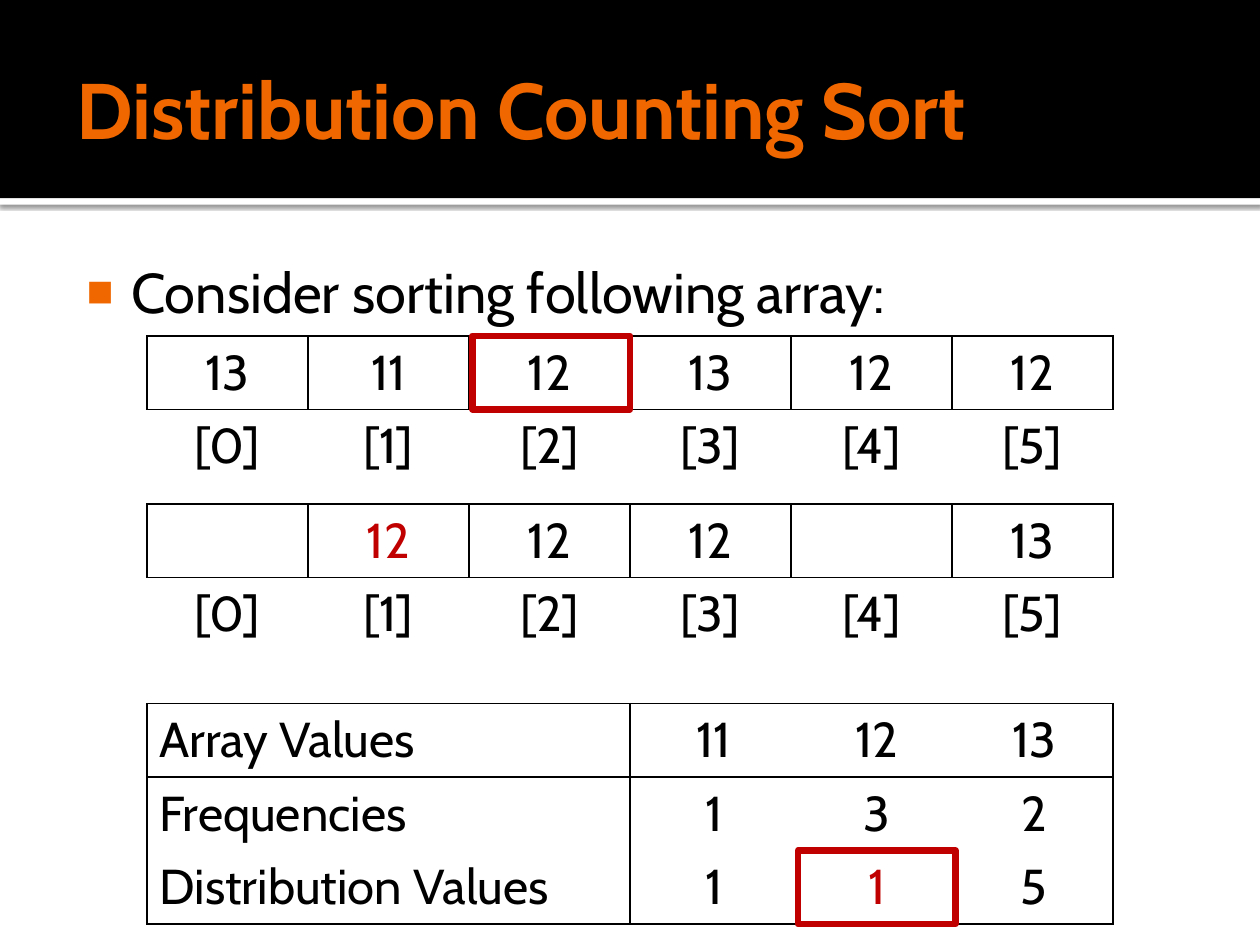
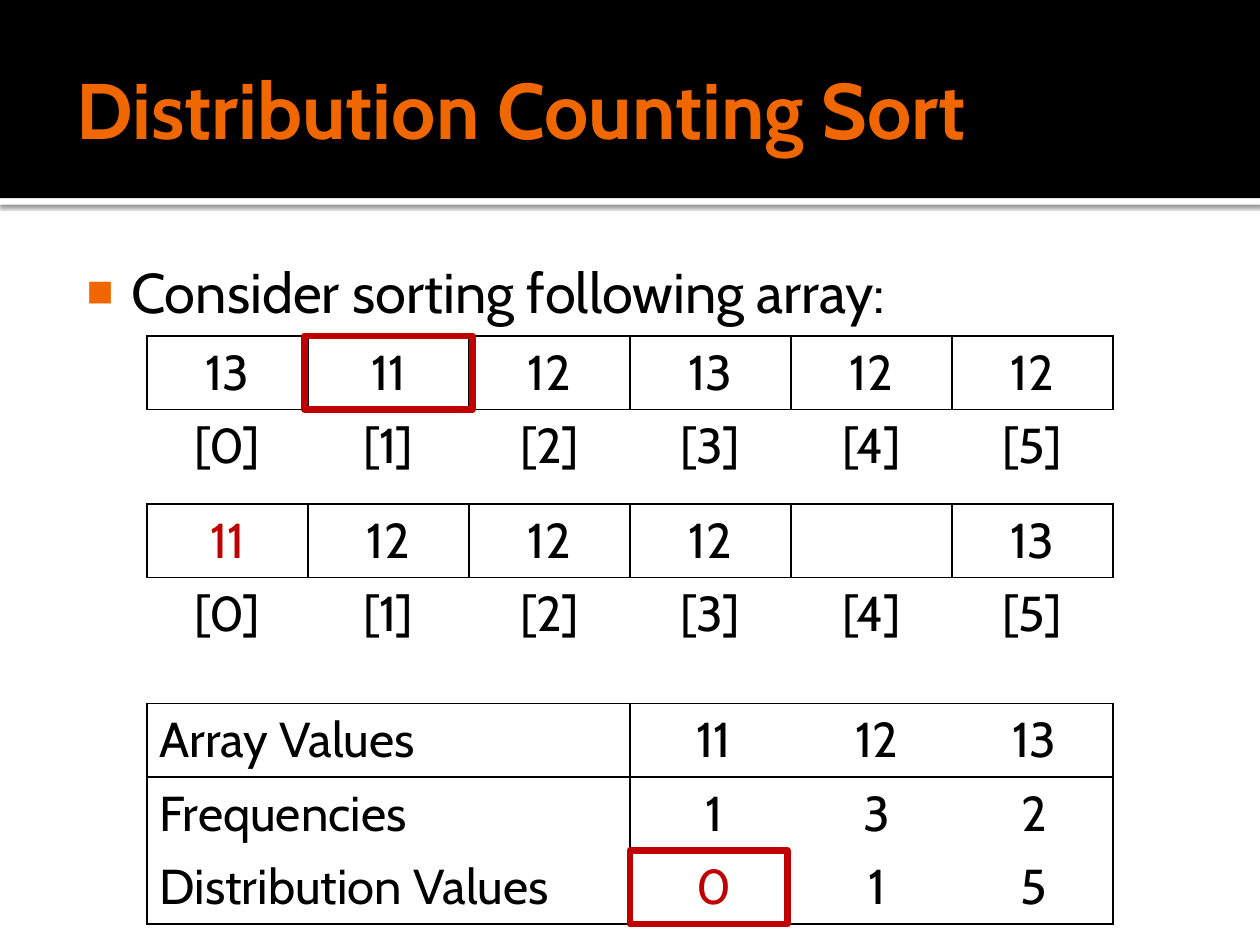
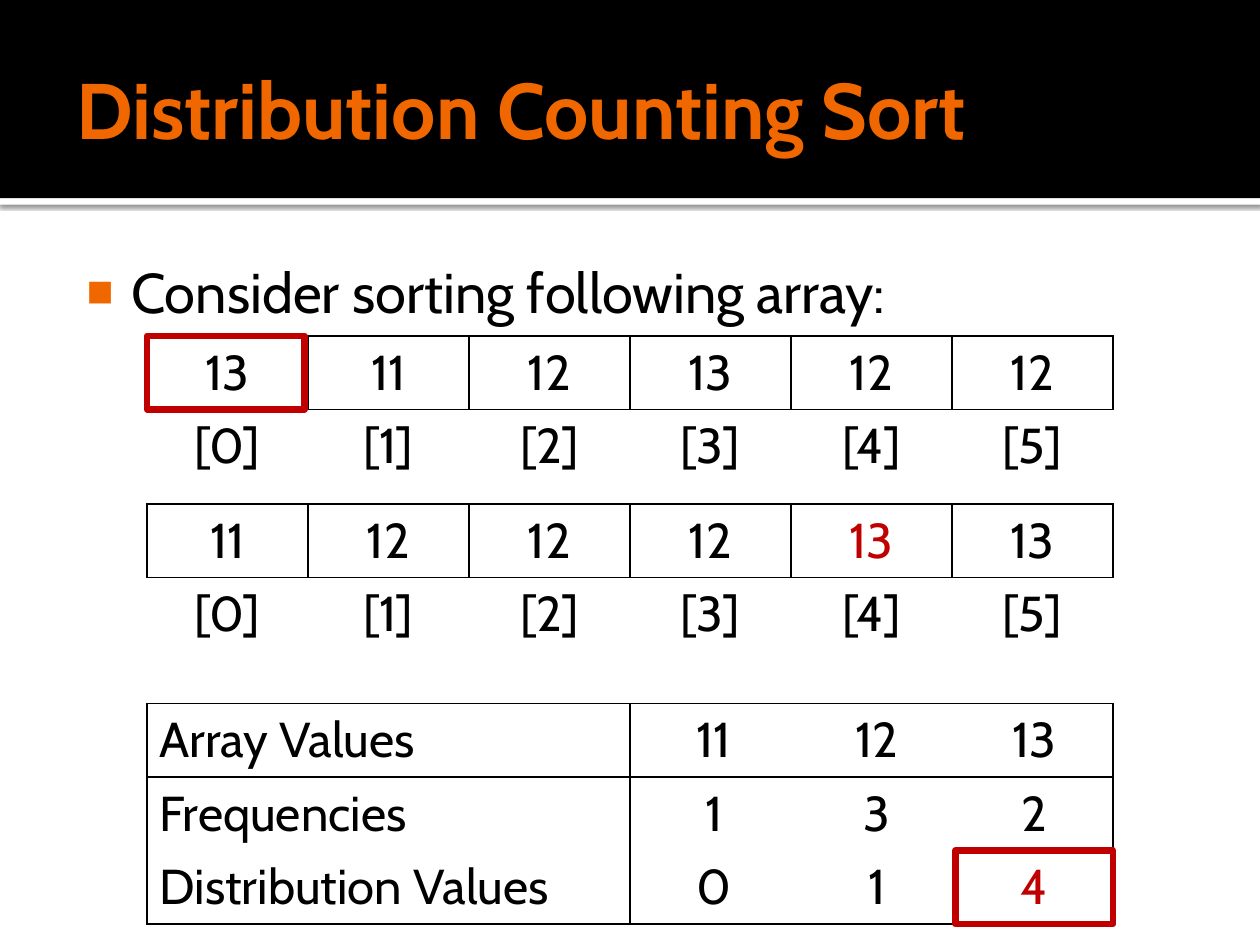
from dataclasses import dataclass

from lxml import etree
from pptx import Presentation
from pptx.dml.color import RGBColor
from pptx.enum.shapes import MSO_SHAPE
from pptx.enum.text import MSO_ANCHOR, PP_ALIGN
from pptx.oxml.ns import qn
from pptx.util import Emu, Pt

RECTANGLE = MSO_SHAPE.RECTANGLE
TOP, MIDDLE = MSO_ANCHOR.TOP, MSO_ANCHOR.MIDDLE
LEFT, CENTER = PP_ALIGN.LEFT, PP_ALIGN.CENTER

EMU_PER_PX = 9525
SLIDE_WIDTH, SLIDE_HEIGHT = 960, 720
FONT = "Cabin"
COLORS = {"black": "000000", "white": "FFFFFF", "orange": "F06700", "red": "C00000"}

TITLE = "Distribution Counting Sort"
INTRODUCTION = "Consider sorting following array:"
ARRAY = ("13", "11", "12", "13", "12", "12")
INDEXES = tuple(f"[{index}]" for index in range(len(ARRAY)))

BAND_HEIGHT, STRIP_HEIGHT = 151, 5
TABLE_LEFT, TABLE_WIDTH, ROW_HEIGHT = 112, 736, 56
ARRAY_TOP, RESULT_TOP, SUMMARY_TOP = 256, 384, 536
SUMMARY_COLUMNS = (368, 128, 120, 120)
SUMMARY_MARKER_WIDTH = 120


@dataclass(frozen=True)
class Box:
    left: int
    top: int
    width: int
    height: int

    def emu(self) -> tuple[Emu, Emu, Emu, Emu]:
        return px(self.left), px(self.top), px(self.width), px(self.height)


@dataclass(frozen=True)
class Step:
    """One move: the element read, where it lands, and the counter it lowers."""
    marker_left: int
    marker_width: int
    result: tuple[str, ...]
    placed_index: int
    distribution: tuple[str, ...]
    lowered_column: int


STEPS = (
    Step(360, 120, ("", "12", "12", "12", "", "13"), 1, ("1", "1", "5"), 2),
    Step(232, 128, ("11", "12", "12", "12", "", "13"), 0, ("0", "1", "5"), 1),
    Step(112, 120, ("11", "12", "12", "12", "13", "13"), 4, ("0", "1", "4"), 3),
)
TITLE_BOX = Box(48, 16, 864, 132)
BODY_BOX = Box(48, 186, 864, 486)


def px(length: int) -> Emu:
    return Emu(length * EMU_PER_PX)


def rgb(name: str) -> RGBColor:
    return RGBColor.from_string(COLORS[name])


def add_xml(parent, tag: str, **attributes):
    return etree.SubElement(parent, qn(tag), {key: str(value) for key, value in attributes.items()})


def write_text(paragraph, text: str, *, size: int, color: str = "black",
               bold: bool = False, align=LEFT) -> None:
    paragraph.alignment = align
    paragraph.space_before = Pt(0)
    run = paragraph.add_run()
    run.text = text
    run.font.name = FONT
    run.font.size = Pt(size)
    run.font.bold = bold
    run.font.color.rgb = rgb(color)


def place(placeholder, box: Box, margins: tuple[int, int, int, int], anchor):
    """Move a placeholder, set its margins, and return its first paragraph."""
    placeholder.left, placeholder.top, placeholder.width, placeholder.height = box.emu()
    frame = placeholder.text_frame
    frame.margin_left, frame.margin_top, frame.margin_right, frame.margin_bottom = map(px, margins)
    frame.vertical_anchor = anchor
    return frame.paragraphs[0]


def add_bullet(paragraph) -> None:
    properties = paragraph._p.get_or_add_pPr()
    properties.set("marL", str(px(46)))
    properties.set("indent", str(px(-34)))
    add_xml(add_xml(properties, "a:buClr"), "a:srgbClr", val=COLORS["orange"])
    add_xml(properties, "a:buSzPct", val=80000)
    add_xml(properties, "a:buChar", char="■")


def set_borders(cell, visible: set[str]) -> None:
    properties = cell._tc.get_or_add_tcPr()
    for side in "LRTB":
        line = add_xml(properties, f"a:ln{side}", w=Pt(1))
        if side in visible:
            add_xml(add_xml(line, "a:solidFill"), "a:srgbClr", val=COLORS["black"])
        else:
            add_xml(line, "a:noFill")


def array_borders(row: int, column: int) -> set[str]:
    return set("LRTB") if row == 0 else {"T"}


def summary_borders(row: int, column: int) -> set[str]:
    """Outer frame, a rule below the header row and one after the label column."""
    sides = {"L"} if column < 2 else set()
    if column in (0, 3):
        sides.add("R")
    if row < 2:
        sides.add("T")
    if row != 1:
        sides.add("B")
    return sides


def add_grid(slide, top: int, rows, column_widths, borders, *, red_cell=None,
             label_column: bool = False) -> None:
    box = Box(TABLE_LEFT, top, TABLE_WIDTH, ROW_HEIGHT * len(rows))
    table = slide.shapes.add_table(len(rows), len(column_widths), *box.emu()).table
    table.first_row = table.horz_banding = False
    for column, width in zip(table.columns, column_widths):
        column.width = width
    for row_index, texts in enumerate(rows):
        table.rows[row_index].height = px(ROW_HEIGHT)
        for column_index, text in enumerate(texts):
            cell = table.cell(row_index, column_index)
            cell.vertical_anchor = MIDDLE
            set_borders(cell, borders(row_index, column_index))
            cell.fill.background()
            if text:
                write_text(cell.text_frame.paragraphs[0], text, size=28,
                           color="red" if (row_index, column_index) == red_cell else "black",
                           align=LEFT if label_column and column_index == 0 else CENTER)


def add_array(slide, top: int, values: tuple[str, ...], red_cell=None) -> None:
    widths = [px(TABLE_WIDTH) // len(values)] * len(values)
    add_grid(slide, top, (values, INDEXES), widths, array_borders, red_cell=red_cell)


def add_rectangle(slide, box: Box, fill: str | None = None, line: str | None = None):
    shape = slide.shapes.add_shape(RECTANGLE, *box.emu())
    shape.shadow.inherit = False
    if fill:
        shape.fill.solid()
        shape.fill.fore_color.rgb = rgb(fill)
    else:
        shape.fill.background()
    if line:
        shape.line.color.rgb = rgb(line)
        shape.line.width = Pt(3.78)
    else:
        shape.line.fill.background()
    return shape


def move_bands_to_master(presentation, slide) -> None:
    """Draw the title band and its shaded strip, then share them through the master."""
    strip = add_rectangle(slide, Box(0, BAND_HEIGHT, SLIDE_WIDTH, STRIP_HEIGHT), "white")
    band = add_rectangle(slide, Box(0, 0, SLIDE_WIDTH, BAND_HEIGHT), "black")
    effects = strip.element.spPr.find(qn("a:effectLst"))
    shadow = add_xml(effects, "a:outerShdw", blurRad=Pt(2.5), dist=Pt(0.8), dir=90 * 60000,
                     algn="t", rotWithShape=0)
    add_xml(add_xml(shadow, "a:srgbClr", val=COLORS["black"]), "a:alpha", val=60000)
    master_tree = presentation.slide_master.shapes.element
    for position, shape in enumerate((strip, band), start=2):
        master_tree.insert(position, shape.element)


def add_step_slide(presentation, step: Step):
    slide = presentation.slides.add_slide(presentation.slide_layouts[1])
    title = place(slide.shapes.title, TITLE_BOX, (10, 5, 5, 5), MIDDLE)
    write_text(title, TITLE, size=45, color="orange", bold=True)
    body = place(slide.placeholders[1], BODY_BOX, (6, 10, 10, 5), TOP)
    add_bullet(body)
    write_text(body, INTRODUCTION, size=32)

    add_array(slide, ARRAY_TOP, ARRAY)
    summary = (
        ("Array Values", "11", "12", "13"),
        ("Frequencies", "1", "3", "2"),
        ("Distribution Values", *step.distribution),
    )
    add_grid(slide, SUMMARY_TOP, summary, [px(width) for width in SUMMARY_COLUMNS],
             summary_borders, red_cell=(2, step.lowered_column), label_column=True)

    counter_left = TABLE_LEFT + sum(SUMMARY_COLUMNS[:step.lowered_column])
    counter_top = SUMMARY_TOP + 2 * ROW_HEIGHT
    for marker in (Box(step.marker_left, ARRAY_TOP, step.marker_width, ROW_HEIGHT),
                   Box(counter_left, counter_top, SUMMARY_MARKER_WIDTH, ROW_HEIGHT)):
        add_rectangle(slide, marker, line="red")
    add_array(slide, RESULT_TOP, step.result, red_cell=(0, step.placed_index))
    return slide


def main() -> None:
    presentation = Presentation()
    presentation.slide_width, presentation.slide_height = px(SLIDE_WIDTH), px(SLIDE_HEIGHT)
    slides = [add_step_slide(presentation, step) for step in STEPS]
    move_bands_to_master(presentation, slides[0])
    presentation.save("out.pptx")


if __name__ == "__main__":
    main()
